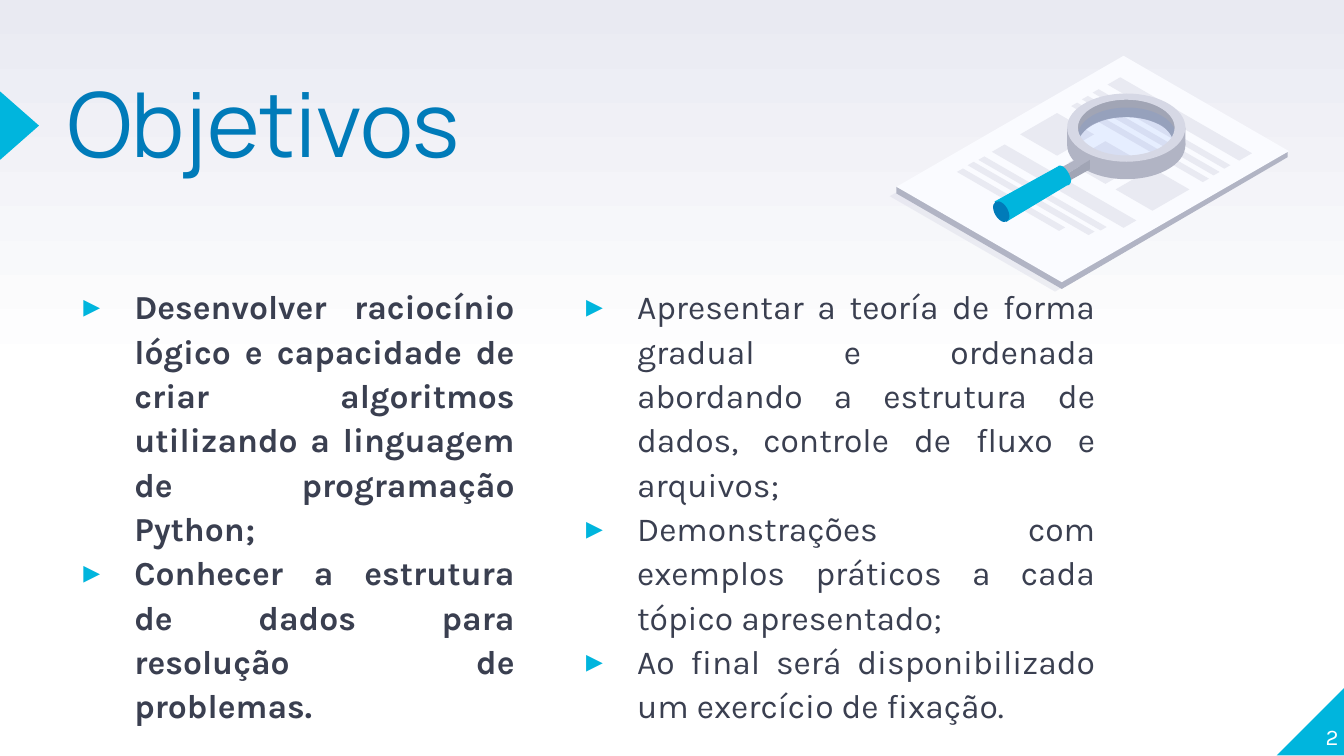
from copy import deepcopy
from math import cos, pi, sin

from lxml.etree import SubElement
from pptx import Presentation
from pptx.dml.color import RGBColor
from pptx.enum.shapes import MSO_SHAPE
from pptx.enum.text import MSO_ANCHOR, MSO_AUTO_SIZE, PP_ALIGN
from pptx.oxml.ns import qn
from pptx.util import Inches, Pt

# Grid: 100 columns by 56.25 rows of square cells
CELL = Inches(0.1)
COLUMNS, ROWS = 100, 56.25
ISO_SLOPE = 0.577  # rise of the isometric axes

CYAN, BLUE, INK = "00B5DD", "007BB9", "3A3F50"
WHITE, PAPER, PALE = "FFFFFF", "FAFBFF", "E9EAF2"
SILVER, GREY, DARK_GREY = "D6D8E5", "B1B4C4", "A1A5B5"
GLASS = "3E7EFF"
BODY_FONT, TITLE_FONT = "Karla", "Manrope"

GOALS = [
    "Desenvolver raciocínio lógico e capacidade de criar algoritmos "
    "utilizando a linguagem de programação Python;",
    "Conhecer a estrutura de dados para resolução de problemas.",
]
METHODS = [
    "Apresentar a teoría de forma gradual e ordenada abordando a estrutura "
    "de dados, controle de fluxo e arquivos;",
    "Demonstrações com exemplos práticos a cada tópico apresentado;",
    "Ao final será disponibilizado um exercício de fixação.",
]

# Printed areas of the paper: left corner, length down-right, length up-right
PRINTED_AREAS = [
    (82.4, 6.3, 9.8, 0.95), (81.3, 6.9, 9.8, 0.45),
    (80.5, 7.4, 9.8, 0.45), (79.7, 7.9, 9.8, 0.45),
    (73.8, 11.3, 9.8, 0.95), (72.8, 11.9, 9.1, 0.45),
    (72, 12.3, 9, 0.45), (71.2, 12.8, 7.6, 0.45),
    (75.9, 10, 2.75, 2.75), (79.5, 12.1, 2.75, 2.75), (83, 14.1, 2.75, 2.75),
]

# Outlines: a pair is a corner, six numbers are a curve
PAPER_EDGE = [(95.4, 11.5), (83.6, 4.6), (67.1, 14.1), (66.7, 13.9),
              (66.7, 14.4), (79, 21.5), (95.8, 11.7), (95.8, 11.3)]
INNER_WALL = [(87.2, 10.2), (87, 9.8, 86.7, 9.5, 86.4, 9.3),
              (84.9, 8.5, 82.6, 8.5, 81.2, 9.3),
              (80.9, 9.5, 80.6, 9.8, 80.3, 10.2), (80, 9.6), (79.9, 9.5),
              (80.4, 8.3), (82.1, 7.3), (85.3, 7.4), (87.5, 8.7),
              (87.5, 8.7, 87.5, 9.1, 87.5, 9.5),
              (87.5, 10, 87.5, 10.5, 87.2, 10.2)]
LEFT_SIDE = [(79.4, 10.8), (79.4, 9.5), (80.1, 10.6)]
RIGHT_SIDE = [(88.2, 10.8), (88.2, 9.5), (87.6, 10.1)]
FRONT_SIDE = [(79.7, 11), (79.7, 11, 80.3, 13.3, 84.5, 13.1),
              (87.4, 13.1, 87.8, 10.6, 87.7, 10.3),
              (87.1, 11.1, 86.2, 11.6, 85.1, 11.7),
              (83.4, 11.9, 82.1, 11.8, 81.3, 11.5),
              (80.6, 11.2, 79.7, 10.3, 79.7, 10.3)]
NECK_TOP = [(81.1, 11.9), (79.3, 13), (78.7, 12.6), (80.6, 11.6)]
NECK_SIDE = [(81.1, 12.6), (79.3, 13.6), (79.3, 13), (81.1, 11.9)]
HANDLE = [(79.7, 13.4), (79.6, 13, 79.4, 12.6, 79.1, 12.4),
          (78.9, 12.3, 78.8, 12.3, 78.7, 12.4), (74, 15), (74.9, 16.5),
          (79.4, 13.8), (79.6, 13.8, 79.7, 13.6, 79.7, 13.4)]


def cells(*values):
    return [round(value * CELL) for value in values]


def color(target, hex_code):
    target.rgb = RGBColor.from_string(hex_code)


def paint(shape, hex_code, opacity=100):
    shape.shadow.inherit = False
    shape.line.fill.background()
    shape.fill.solid()
    color(shape.fill.fore_color, hex_code)
    if opacity < 100:
        code = next(shape.element.spPr.iter(qn("a:srgbClr")))
        SubElement(code, qn("a:alpha"), val=str(opacity * 1000))


def add_preset(shapes, kind, bounds, hex_code, opacity=100, turn=0):
    shape = shapes.add_shape(kind, *cells(*bounds))
    shape.rotation = turn
    paint(shape, hex_code, opacity)
    return shape


def add_outline(shapes, contours, hex_code, opacity=100):
    first, *holes = [[cells(*point) for point in ring] for ring in contours]
    builder = shapes.build_freeform(*first[0], scale=1.0)
    builder.add_line_segments(first[1:], close=True)
    for hole in holes:
        builder.move_to(*hole[0])
        builder.add_line_segments(hole[1:], close=True)
    paint(builder.convert_to_shape(), hex_code, opacity)


def smooth(steps, parts=10):
    """Turn the curves of an outline into short straight segments."""
    points = []
    for step in steps:
        if len(step) == 2:
            points.append(step)
            continue
        controls = [points[-1], step[:2], step[2:4], step[4:]]
        for part in range(1, parts + 1):
            t = part / parts
            weights = [(1 - t) ** 3, 3 * t * (1 - t) ** 2, 3 * t * t * (1 - t), t ** 3]
            points.append([sum(w * control[axis] for w, control in zip(weights, controls))
                           for axis in (0, 1)])
    return points


def add_tile(shapes, left, top, down, up, hex_code, opacity=100):
    corners = [(left, top), (left + up, top - up * ISO_SLOPE),
               (left + up + down, top + (down - up) * ISO_SLOPE),
               (left + down, top + down * ISO_SLOPE)]
    add_outline(shapes, [corners], hex_code, opacity)


def add_ring(shapes, middle_x, middle_y, hex_code):
    def ellipse(radius, direction):
        angles = [direction * 2 * pi * i / 60 for i in range(60)]
        return [(middle_x + radius * cos(a), middle_y + radius * ISO_SLOPE * sin(a))
                for a in angles]
    add_outline(shapes, [ellipse(4.4, 1), ellipse(3.6, -1)], hex_code)


def add_text_box(slide, bounds, anchor=MSO_ANCHOR.TOP):
    frame = slide.shapes.add_textbox(*cells(*bounds)).text_frame
    frame.word_wrap = True
    frame.auto_size = MSO_AUTO_SIZE.NONE
    frame.vertical_anchor = anchor
    frame.margin_left = frame.margin_top = frame.margin_right = frame.margin_bottom = 0
    return frame


def add_span(para, text, font, size, hex_code, bold=False):
    span = para.add_run()
    span.text = text
    span.font.name, span.font.size, span.font.bold = font, Pt(size), bold
    color(span.font.color, hex_code)


def add_bullet_list(slide, bounds, items, bold=False):
    frame = add_text_box(slide, bounds)
    for index, item in enumerate(items):
        para = frame.add_paragraph() if index else frame.paragraphs[0]
        para.alignment = PP_ALIGN.JUSTIFY
        para.line_spacing = 1.1
        para.space_before = Pt(0 if index else 6)
        settings = para._p.get_or_add_pPr()
        settings.set("marL", str(Inches(0.5)))
        settings.set("indent", str(Inches(-0.38)))
        bullet_color = SubElement(settings, qn("a:buClr"))
        SubElement(bullet_color, qn("a:srgbClr"), val=CYAN)
        SubElement(settings, qn("a:buFont"), typeface=BODY_FONT)
        SubElement(settings, qn("a:buChar"), char="▸")
        add_span(para, item, BODY_FONT, 18, INK, bold)


def set_background(slide):
    fill = slide.background.fill
    fill.gradient()
    fill.gradient_angle = 90
    stop_list = next(slide.element.iter(qn("a:gsLst")))
    stop_list.insert(1, deepcopy(stop_list[0]))
    for stop, position, hex_code in zip(fill.gradient_stops, (0, 0.5, 1), (WHITE, WHITE, PALE)):
        stop.position = position
        color(stop.color, hex_code)


def draw_paper(shapes):
    add_tile(shapes, 66.2, 14.6, 12.3, 16.9, SILVER, 40)
    add_outline(shapes, [PAPER_EDGE], GREY)
    add_tile(shapes, 66.7, 13.9, 12.3, 16.9, PAPER)
    for area in PRINTED_AREAS:
        add_tile(shapes, *area, PALE)


def draw_magnifier(shapes):
    add_ring(shapes, 83.8, 10.8, GREY)
    for steps, hex_code in ((INNER_WALL, DARK_GREY), (LEFT_SIDE, GREY), (RIGHT_SIDE, GREY)):
        add_outline(shapes, [smooth(steps)], hex_code)
    add_preset(shapes, MSO_SHAPE.OVAL, (80.2, 8, 7.3, 4.2), GLASS, 10)
    add_outline(shapes, [smooth(FRONT_SIDE)], GREY)
    add_ring(shapes, 83.8, 9.5, SILVER)
    for steps, hex_code in ((NECK_TOP, GREY), (NECK_SIDE, DARK_GREY), (HANDLE, CYAN)):
        add_outline(shapes, [smooth(steps)], hex_code)
    add_preset(shapes, MSO_SHAPE.OVAL, (74, 14.9, 1, 1.7), BLUE, turn=330)


def main():
    deck = Presentation()
    deck.slide_width, deck.slide_height = cells(COLUMNS, ROWS)
    slide = deck.slides.add_slide(deck.slide_layouts[6])
    set_background(slide)

    # Corner and title marker
    corner = add_preset(slide.shapes, MSO_SHAPE.RIGHT_TRIANGLE, (95, 51.1, 5.1, 5.1), CYAN)
    corner.element.spPr.xfrm.set("flipH", "1")
    add_preset(slide.shapes, MSO_SHAPE.ISOSCELES_TRIANGLE, (-1.1, 7.9, 5.1, 2.9), CYAN, turn=90)

    # Title
    title = add_text_box(slide, (5, 6.6, 61.7, 11.8)).paragraphs[0]
    title.line_spacing = 0.8
    add_span(title, "Objetivos", TITLE_FONT, 48, BLUE)

    # Two columns of text
    add_bullet_list(slide, (42.4, 21, 39.1, 22.5), METHODS)
    add_bullet_list(slide, (5, 21, 33.3, 23.3), GOALS, bold=True)

    # Page number
    number = add_text_box(slide, (94.6, 50.7, 5, 5.1), MSO_ANCHOR.BOTTOM).paragraphs[0]
    number.alignment = PP_ALIGN.RIGHT
    add_span(number, "2", BODY_FONT, 12, WHITE)

    # Illustration
    illustration = slide.shapes.add_group_shape().shapes
    draw_paper(illustration)
    draw_magnifier(illustration)

    deck.save("out.pptx")


if __name__ == "__main__":
    main()
